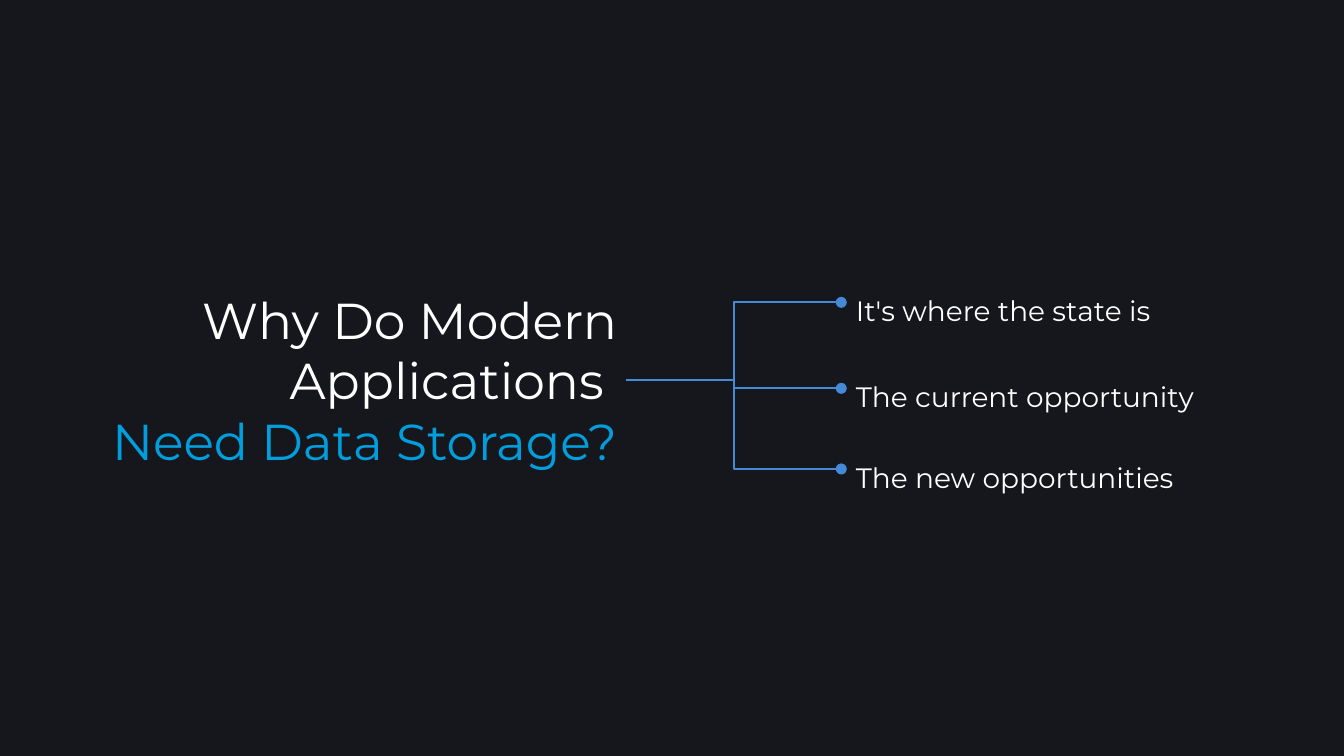
from dataclasses import dataclass

from lxml.etree import SubElement
from pptx import Presentation
from pptx.dml.color import RGBColor
from pptx.enum.shapes import MSO_CONNECTOR
from pptx.enum.text import MSO_ANCHOR, MSO_AUTO_SIZE, PP_ALIGN
from pptx.oxml.ns import qn
from pptx.util import Inches, Pt


@dataclass(frozen=True)
class Theme:
    font: str = "Montserrat"
    background: RGBColor = RGBColor(0x16, 0x16, 0x1D)
    text: RGBColor = RGBColor(0xFF, 0xFF, 0xFF)
    accent: RGBColor = RGBColor(0x00, 0x9E, 0xDC)
    branch: RGBColor = RGBColor(0x44, 0x8A, 0xD7)
    question_size: int = 27
    answer_size: int = 15


THEME = Theme()
QUESTION = [
    ("Why Do Modern Applications ", THEME.text),
    ("Need Data Storage?", THEME.accent),
]
# Each answer with the height at which its branch ends
ANSWERS = [
    ("It's where the state is", 2.25),
    ("The current opportunity", 2.89),
    ("The new opportunities", 3.49),
]

SLIDE_WIDTH = 10
SLIDE_HEIGHT = SLIDE_WIDTH * 9 / 16
QUESTION_LEFT, QUESTION_WIDTH, QUESTION_HEIGHT = 0.42, 4.24, 1.44
QUESTION_MIDDLE = 2.83
BRANCH_LENGTH = 1.6
ANSWER_WIDTH, ANSWER_HEIGHT = 3.28, 0.58


def set_frame(frame, side_inset, end_inset):
    frame.word_wrap = True
    frame.auto_size = MSO_AUTO_SIZE.NONE
    frame.vertical_anchor = MSO_ANCHOR.TOP
    frame.margin_left = frame.margin_right = Inches(side_inset)
    frame.margin_top = frame.margin_bottom = Inches(end_inset)


def set_font(paragraph, size, color):
    paragraph.font.name = THEME.font
    paragraph.font.size = Pt(size)
    paragraph.font.color.rgb = color


def add_question(slide):
    title = slide.shapes.title
    title.left, title.width = Inches(QUESTION_LEFT), Inches(QUESTION_WIDTH)
    title.top = Inches(QUESTION_MIDDLE - QUESTION_HEIGHT / 2)
    title.height = Inches(QUESTION_HEIGHT)
    frame = title.text_frame
    set_frame(frame, 0.07, 0.04)
    frame.text = "\n".join(words for words, _ in QUESTION)
    for paragraph, (_, color) in zip(frame.paragraphs, QUESTION):
        paragraph.alignment = PP_ALIGN.RIGHT
        set_font(paragraph, THEME.question_size, color)


def add_branch(slide, start, end):
    """Draw an elbow line that ends in a dot."""
    branch = slide.shapes.add_connector(
        MSO_CONNECTOR.ELBOW, *(Inches(value) for value in (*start, *end))
    )
    branch.line.color.rgb = THEME.branch
    branch.line.width = Pt(1)
    SubElement(branch.line._get_or_add_ln(), qn("a:tailEnd"), type="oval")
    SubElement(branch._element.spPr, qn("a:effectLst"))


def add_answer(slide, words, left, middle):
    box = slide.shapes.add_textbox(
        Inches(left), Inches(middle - ANSWER_HEIGHT / 2),
        Inches(ANSWER_WIDTH), Inches(ANSWER_HEIGHT),
    )
    set_frame(box.text_frame, 0.1, 0.1)
    paragraph = box.text_frame.paragraphs[0]
    paragraph.text = words
    paragraph.line_spacing = 1.5
    set_font(paragraph, THEME.answer_size, THEME.text)


def main():
    deck = Presentation()
    deck.slide_width, deck.slide_height = Inches(SLIDE_WIDTH), Inches(SLIDE_HEIGHT)
    slide = deck.slides.add_slide(deck.slide_layouts.get_by_name("Title Only"))
    slide.background.fill.solid()
    slide.background.fill.fore_color.rgb = THEME.background

    add_question(slide)
    branch_left = QUESTION_LEFT + QUESTION_WIDTH
    branch_right = branch_left + BRANCH_LENGTH
    for words, middle in ANSWERS:
        add_branch(slide, (branch_left, QUESTION_MIDDLE), (branch_right, middle))
        add_answer(slide, words, branch_right + 0.01, middle)

    deck.save("out.pptx")


if __name__ == "__main__":
    main()
